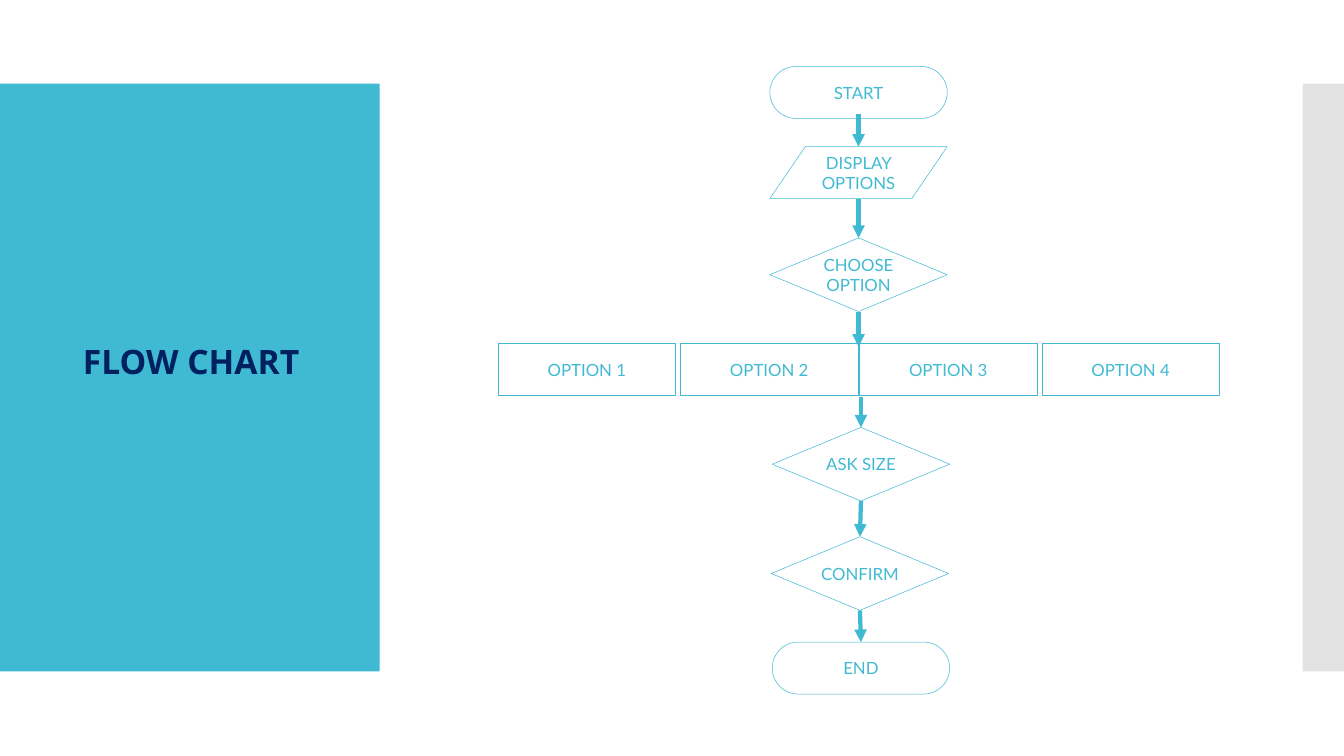
from lxml.etree import SubElement
from pptx import Presentation
from pptx.dml.color import RGBColor
from pptx.enum.shapes import MSO_CONNECTOR, MSO_SHAPE as SHAPE
from pptx.enum.text import MSO_ANCHOR as ANCHOR, PP_ALIGN as ALIGN
from pptx.oxml.ns import qn
from pptx.util import Cm, Pt

TEAL, NAVY, GREY = "40BAD2", "002060", "C8C8C8"
TITLE = "FLOW CHART"
PANELS = [(0, 19.13, TEAL, 100), (65.63, 2.09, GREY, 50)]
PANEL_TOP, PANEL_HEIGHT = 4.22, 29.62

BOX_WIDTH, BAR, DIAMOND = 8.94, 2.62, 3.71
STEPS = [
    ("START", SHAPE.ROUNDED_RECTANGLE, 43.26, 3.35, BAR),
    ("DISPLAY OPTIONS", SHAPE.FLOWCHART_DATA, 43.26, 7.39, BAR),
    ("CHOOSE OPTION", SHAPE.FLOWCHART_DECISION, 43.26, 11.99, DIAMOND),
    ("ASK SIZE", SHAPE.FLOWCHART_DECISION, 43.38, 21.54, DIAMOND),
    ("CONFIRM", SHAPE.FLOWCHART_DECISION, 43.33, 27.05, DIAMOND),
    ("END", SHAPE.ROUNDED_RECTANGLE, 43.38, 32.36, BAR),
]
OPTIONS = ["OPTION 1", "OPTION 2", "OPTION 3", "OPTION 4"]
OPTION_TOP, OPTION_GAP, PAIR_LEFTS = 17.32, 0.25, (25.1, 43.31)
ARROWS = [
    (43.26, 5.74, 43.26, 7.39),
    (43.26, 10.01, 43.26, 11.99),
    (43.26, 15.72, 43.26, 17.48),
    (43.38, 20.02, 43.38, 21.54),
    (43.38, 25.25, 43.33, 27.05),
    (43.33, 30.76, 43.38, 32.36),
]
BOX_FONT = {"name": "Lato", "size": Pt(24), "bold": False}
TITLE_FONT = {"name": "Noto Sans", "size": Pt(48), "bold": True}
FRAME = {"word_wrap": True, "vertical_anchor": ANCHOR.MIDDLE,
         "margin_left": 0, "margin_right": 0}


def assign(target, values):
    for name, value in values.items():
        setattr(target, name, value)


def paint(color_format, value):
    color_format.rgb = RGBColor.from_string(value)


def write(shape, text, font, color):
    frame = shape.text_frame
    assign(frame, FRAME)
    para = frame.paragraphs[0]
    para.alignment = ALIGN.CENTER
    span = para.add_run()
    span.text = text
    assign(span.font, font)
    paint(span.font.color, color)


def add_panel(page, left, width, color, opacity):
    panel = page.shapes.add_shape(
        SHAPE.RECTANGLE, Cm(left), Cm(PANEL_TOP), Cm(width), Cm(PANEL_HEIGHT))
    panel.shadow.inherit = False
    panel.line.fill.background()
    panel.fill.solid()
    paint(panel.fill.fore_color, color)
    if opacity < 100:
        shade = panel.element.spPr.find(qn("a:solidFill"))[0]
        SubElement(shade, qn("a:alpha"), val=str(opacity * 1000))
    page.shapes.title.element.addprevious(panel.element)


def add_box(page, text, kind, left, top, height):
    box = page.shapes.add_shape(
        kind, Cm(left), Cm(top), Cm(BOX_WIDTH), Cm(height))
    if kind == SHAPE.ROUNDED_RECTANGLE:
        box.adjustments[0] = 0.5
    box.shadow.inherit = False
    box.fill.background()
    paint(box.line.color, TEAL)
    box.line.width = Pt(0.75)
    write(box, text, BOX_FONT, TEAL)


def add_arrow(page, ends):
    arrow = page.shapes.add_connector(MSO_CONNECTOR.STRAIGHT, *map(Cm, ends))
    paint(arrow.line.color, TEAL)
    arrow.line.width = Pt(6)
    SubElement(arrow.line._get_or_add_ln(), qn("a:tailEnd"), type="triangle")
    SubElement(arrow.element.spPr, qn("a:effectLst"))


def main():
    deck = Presentation()
    assign(deck, {"slide_width": Cm(67.72), "slide_height": Cm(38.1)})
    page = deck.slides.add_slide(deck.slide_layouts.get_by_name("Title Only"))

    title = page.shapes.title
    assign(title, {"left": Cm(2.24), "top": Cm(17.04),
                   "width": Cm(14.78), "height": Cm(2.31)})
    write(title, TITLE, TITLE_FONT, NAVY)

    for panel in PANELS:
        add_panel(page, *panel)
    for text, kind, centre, top, height in STEPS:
        add_box(page, text, kind, centre - BOX_WIDTH / 2, top, height)
    for index, text in enumerate(OPTIONS):
        pair, place = divmod(index, 2)
        left = PAIR_LEFTS[pair] + place * (BOX_WIDTH + OPTION_GAP)
        add_box(page, text, SHAPE.RECTANGLE, left, OPTION_TOP, BAR)
    for ends in ARROWS:
        add_arrow(page, ends)

    deck.save("out.pptx")


if __name__ == "__main__":
    main()
